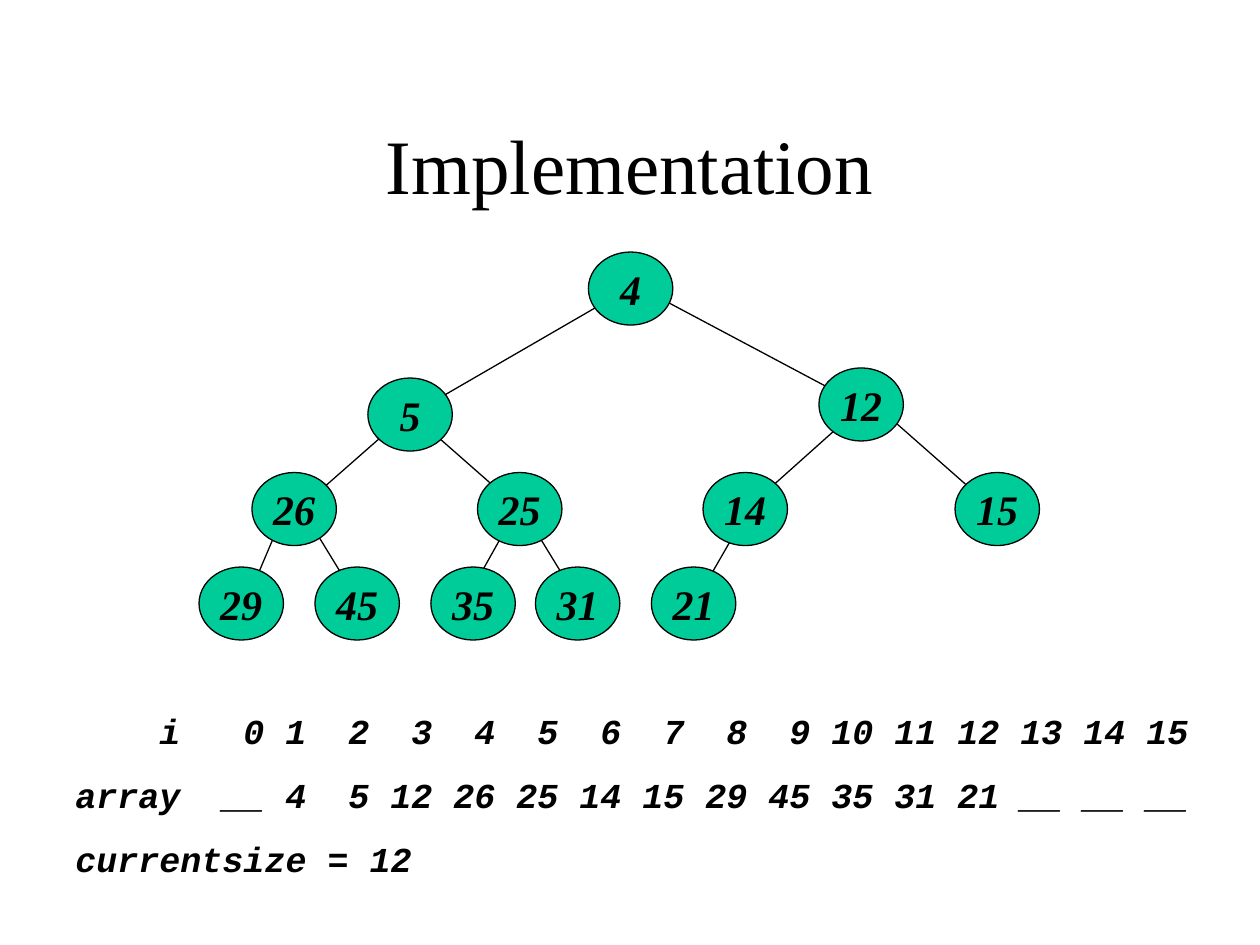
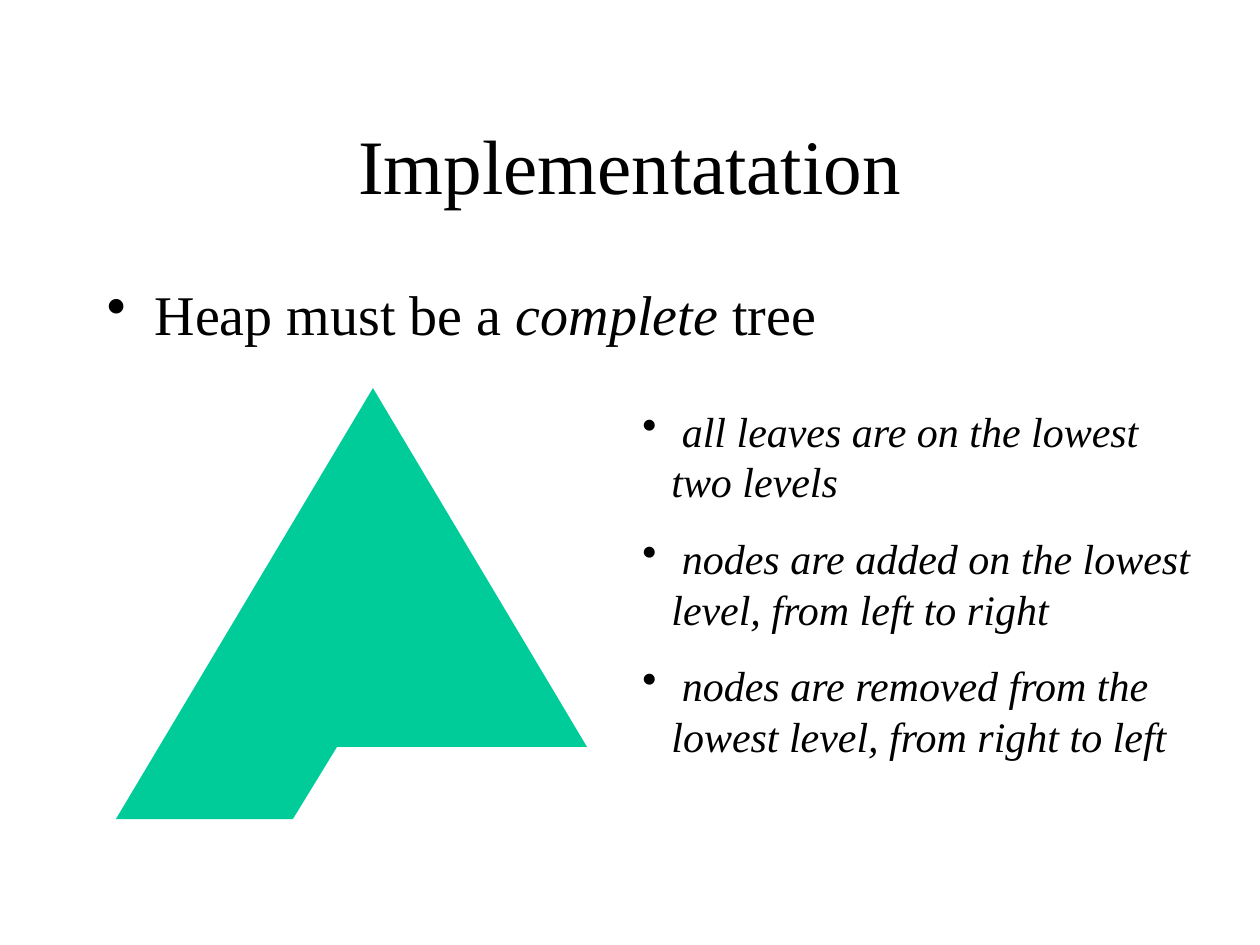
"""Build two slides on implementing a heap as an array-backed complete tree."""
import dataclasses

import pptx
import pptx.dml.color
import pptx.enum.shapes
import pptx.enum.text
import pptx.oxml
import pptx.oxml.ns
import pptx.util
from pptx.util import Inches

BLACK = pptx.dml.color.RGBColor(0x00, 0x00, 0x00)
WHITE = pptx.dml.color.RGBColor(0xFF, 0xFF, 0xFF)
GREEN = pptx.dml.color.RGBColor(0x00, 0xCC, 0x99)
SERIF = "Times New Roman"
MONO = "Courier New"
ALIGN = pptx.enum.text.PP_ALIGN
ANCHOR = pptx.enum.text.MSO_ANCHOR
SHAPE = pptx.enum.shapes.MSO_SHAPE
LINE_WIDTH = pptx.util.Pt(0.75)
NODE_W, NODE_H = 0.67, 0.58
CHAR_W = 1 / 6


@dataclasses.dataclass(frozen=True)
class Node:
    """A heap node with its top left corner in inches."""
    key: int
    left: float
    top: float


@dataclasses.dataclass(frozen=True)
class Edge:
    """A parent-to-child line in inches."""
    x1: float
    y1: float
    x2: float
    y2: float


@dataclasses.dataclass(frozen=True)
class TextStyle:
    """The font settings of a paragraph."""
    size: float
    name: str = SERIF
    bold: bool | None = None
    italic: bool | None = None


TITLE = TextStyle(44)
BODY = TextStyle(32)
NOTE = TextStyle(24, italic=True)
KEY = TextStyle(24, bold=True, italic=True)
CODE = TextStyle(20, MONO, bold=True, italic=True)

NODES = (
    Node(4, 4.67, 2), Node(5, 2.92, 3), Node(12, 6.5, 2.92),
    Node(26, 2, 3.75), Node(25, 3.79, 3.75), Node(14, 5.58, 3.75), Node(15, 7.58, 3.75),
    Node(29, 1.58, 4.5), Node(45, 2.5, 4.5), Node(35, 3.42, 4.5), Node(31, 4.25, 4.5),
    Node(21, 5.17, 4.5),
)
EDGES = (
    Edge(4.92, 2.33, 3.33, 3.25), Edge(5.17, 2.33, 6.75, 3.17),
    Edge(3.08, 3.42, 2.42, 4), Edge(3.42, 3.42, 4.08, 4),
    Edge(6.72, 3.33, 6.06, 3.92), Edge(7.08, 3.33, 7.75, 3.92),
    Edge(2.25, 4.08, 2, 4.67), Edge(2.42, 4.08, 2.83, 4.75),
    Edge(4.08, 4.08, 3.75, 4.67), Edge(4.17, 4.08, 4.58, 4.75),
    Edge(5.92, 4.08, 5.58, 4.67),
)
RULES = (
    " all leaves are on the lowest two levels",
    " nodes are added on the lowest level, from left to right",
    " nodes are removed from the lowest level, from right to left",
)


def set_font(p, style: TextStyle) -> None:
    """Apply a text style to a paragraph."""
    p.font.size = pptx.util.Pt(style.size)
    p.font.name = style.name
    p.font.bold = style.bold
    p.font.italic = style.italic
    p.font.color.rgb = BLACK


def add_element(parent, tag: str, **attributes: str):
    """Append a drawing element with attributes to its parent."""
    child = pptx.oxml.parse_xml(f"<{tag} {pptx.oxml.ns.nsdecls('a')}/>")
    for key, value in attributes.items():
        child.set(key, value)
    parent.append(child)
    return child


def add_bullet(p, indent: float) -> None:
    """Give a paragraph a hanging bullet."""
    pPr = p._p.get_or_add_pPr()
    pPr.set("marL", str(Inches(indent)))
    pPr.set("indent", str(-Inches(indent)))
    add_element(pPr, "a:buChar", char="•")


def add_right_tabs(p, columns: list[int]) -> None:
    """Set right-aligned tab stops at character columns."""
    tabs = add_element(p._p.get_or_add_pPr(), "a:tabLst")
    for column in columns:
        add_element(tabs, "a:tab", pos=str(Inches(column * CHAR_W)), algn="r")


def add_text_box(s, left: float, top: float, width: float, height: float):
    """Add a wrapping text box and return its text frame."""
    tf = s.shapes.add_textbox(Inches(left), Inches(top), Inches(width), Inches(height)).text_frame
    tf.word_wrap = True
    return tf


def next_paragraph(tf, index: int, gap: float):
    """Return the paragraph at an index, with a gap before all but the first."""
    if index == 0:
        return tf.paragraphs[0]
    p = tf.add_paragraph()
    p.space_before = pptx.util.Pt(gap)
    return p


def add_titled_slide(prs, title: str):
    """Add a blank slide with the shared title."""
    s = prs.slides.add_slide(prs.slide_layouts[6])
    tf = add_text_box(s, 0.75, 0.67, 8.5, 1.25)
    tf.vertical_anchor = ANCHOR.MIDDLE
    p = tf.paragraphs[0]
    p.text = title
    p.alignment = ALIGN.CENTER
    set_font(p, TITLE)
    return s


def paint(sp, color: pptx.dml.color.RGBColor) -> None:
    """Fill a shape without shadow or outline."""
    sp.shadow.inherit = False
    sp.fill.solid()
    sp.fill.fore_color.rgb = color
    sp.line.fill.background()


def add_edge(s, edge: Edge) -> None:
    """Draw one tree edge."""
    line = s.shapes.add_connector(
        pptx.enum.shapes.MSO_CONNECTOR.STRAIGHT,
        Inches(edge.x1), Inches(edge.y1), Inches(edge.x2), Inches(edge.y2))
    line.line.color.rgb = BLACK
    line.line.width = LINE_WIDTH
    add_element(line._element.spPr, "a:effectLst")


def add_node(s, node: Node) -> None:
    """Draw one heap node."""
    sp = s.shapes.add_shape(
        SHAPE.OVAL, Inches(node.left), Inches(node.top), Inches(NODE_W), Inches(NODE_H))
    paint(sp, GREEN)
    sp.line.color.rgb = BLACK
    sp.line.width = LINE_WIDTH
    tf = sp.text_frame
    tf.word_wrap = False
    tf.vertical_anchor = ANCHOR.MIDDLE
    p = tf.paragraphs[0]
    p.text = str(node.key)
    p.alignment = ALIGN.CENTER
    set_font(p, KEY)


def add_array_listing(s) -> None:
    """Write the heap array under its indices."""
    cells = ["__"] + [str(node.key) for node in NODES] + ["__"] * 3
    columns = [9] + [11 + 3 * i for i in range(len(cells) - 1)]
    rows = (
        (["", "i"] + [str(i) for i in range(len(cells))], [5] + columns),
        (["array"] + cells, columns),
        ([f"currentsize = {len(NODES)}"], []),
    )
    tf = add_text_box(s, 0.5, 5.58, 9.17, 1.45)
    for i, (words, stops) in enumerate(rows):
        p = next_paragraph(tf, i, 12.5)
        p.text = "\t".join(words)
        if stops:
            add_right_tabs(p, stops)
        set_font(p, CODE)


def add_complete_tree(s) -> None:
    """Draw a triangle whose lowest level is cut away on the right."""
    group = s.shapes.add_group_shape()
    paint(group.shapes.add_shape(
        SHAPE.ISOSCELES_TRIANGLE, Inches(0.92), Inches(3.08), Inches(4.08), Inches(3.42)), GREEN)
    top, bottom, width, slant = 5.93, 6.51, 1.42, 0.355
    for i in range(3):
        left = 3.65 - 0.665 * i
        wide, narrow = (top, bottom) if i == 1 else (bottom, top)
        points = [(left, wide), (left + width, wide),
                  (left + width - slant, narrow), (left + slant, narrow)]
        corners = [(Inches(x), Inches(y)) for x, y in points]
        builder = group.shapes.build_freeform(*corners[0])
        builder.add_line_segments(corners[1:], close=True)
        paint(builder.convert_to_shape(), WHITE)


def build_heap_slide(prs) -> None:
    """Build the slide showing a heap and its array."""
    s = add_titled_slide(prs, "Implementation")
    for edge in EDGES:
        add_edge(s, edge)
    for node in NODES:
        add_node(s, node)
    add_array_listing(s)


def build_complete_tree_slide(prs) -> None:
    """Build the slide explaining complete trees."""
    s = add_titled_slide(prs, "Implementatation")
    p = add_text_box(s, 0.75, 2.17, 8.5, 4.5).paragraphs[0]
    add_bullet(p, 0.38)
    set_font(p, BODY)
    for text, italic in (("Heap must be a ", False), ("complete ", True), ("tree", False)):
        r = p.add_run()
        r.text = text
        r.font.italic = italic
    add_complete_tree(s)
    tf = add_text_box(s, 5, 3.17, 4.58, 3.53)
    for i, rule in enumerate(RULES):
        p = next_paragraph(tf, i, 15)
        p.text = rule
        add_bullet(p, 0.23)
        set_font(p, NOTE)


def main() -> None:
    """Build and save the presentation."""
    prs = pptx.Presentation()
    prs.slide_width = Inches(10)
    prs.slide_height = Inches(7.5)
    build_heap_slide(prs)
    build_complete_tree_slide(prs)
    prs.save("out.pptx")


if __name__ == "__main__":
    main()
